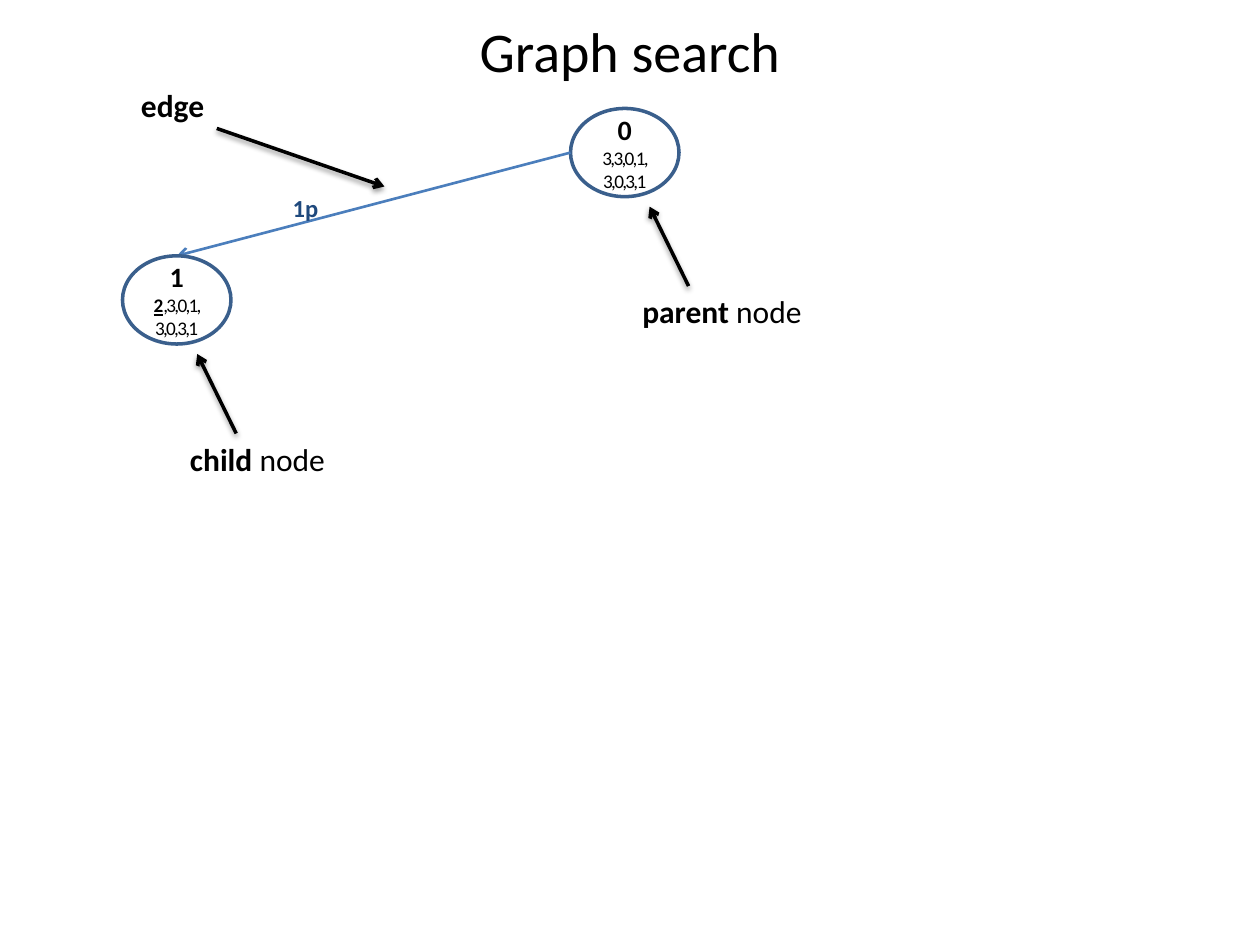
from lxml.etree import SubElement
from pptx import Presentation
from pptx.dml.color import RGBColor
from pptx.enum.shapes import MSO_CONNECTOR, MSO_SHAPE
from pptx.enum.text import MSO_ANCHOR, PP_ALIGN
from pptx.oxml.ns import qn
from pptx.util import Pt

BLACK = RGBColor(0x00, 0x00, 0x00)
WHITE = RGBColor(0xFF, 0xFF, 0xFF)
OUTLINE = RGBColor(0x3A, 0x5F, 0x8C)
EDGE = RGBColor(0x4B, 0x7E, 0xBC)
NAVY = RGBColor(0x1F, 0x49, 0x7D)

FONT = "Calibri"
NODE_WIDTH, NODE_HEIGHT = 62, 50.4
STATE = {"size": Pt(11), "bold": False}
CAPTION = {"size": Pt(18), "bold": True}


def add_span(para, text, spacing=None, **formats):
    """Append a run to the paragraph with the given font values."""
    span = para.add_run()
    span.text = text
    span.font.color.rgb = formats.pop("color", BLACK)
    for name, value in {"name": FONT, **formats}.items():
        setattr(span.font, name, value)
    if spacing is not None:
        span.font._element.set("spc", str(spacing))


def add_label(page, box, spans, align=PP_ALIGN.LEFT, anchor=MSO_ANCHOR.TOP):
    """Place a one-paragraph text box; spans are (text, formats) pairs."""
    frame = page.shapes.add_textbox(*map(Pt, box)).text_frame
    frame.word_wrap = True
    frame.vertical_anchor = anchor
    para = frame.paragraphs[0]
    para.alignment = align
    for text, formats in spans:
        add_span(para, text, **formats)


def add_arrow(page, start, end, color, width, shadow=False):
    """Draw an open-headed arrow from start to end."""
    arrow = page.shapes.add_connector(
        MSO_CONNECTOR.STRAIGHT, *map(Pt, (*start, *end)))
    arrow.line.color.rgb = color
    arrow.line.width = Pt(width)
    SubElement(arrow.line._get_or_add_ln(), qn("a:tailEnd"), type="arrow")
    effects = SubElement(arrow._element.spPr, qn("a:effectLst"))
    if shadow:
        outer = SubElement(effects, qn("a:outerShdw"), blurRad=str(Pt(3.1)),
                           dist=str(Pt(1.6)), dir="5400000", rotWithShape="0")
        tone = SubElement(outer, qn("a:srgbClr"), val=str(BLACK))
        SubElement(tone, qn("a:alpha"), val="38000")


def add_node(page, left, top, number, state):
    """Draw a search node: its number above its state spans."""
    node = page.shapes.add_shape(
        MSO_SHAPE.OVAL, *map(Pt, (left, top, NODE_WIDTH, NODE_HEIGHT)))
    node.shadow.inherit = False
    node.fill.solid()
    node.fill.fore_color.rgb = WHITE
    node.line.color.rgb = OUTLINE
    node.line.width = Pt(2)
    frame = node.text_frame
    frame.word_wrap = True
    frame.vertical_anchor = MSO_ANCHOR.MIDDLE
    heading, body = frame.paragraphs[0], frame.add_paragraph()
    heading.alignment = body.alignment = PP_ALIGN.CENTER
    add_span(heading, number, size=Pt(16), bold=True)
    for text, formats in state:
        add_span(body, text, spacing=-100, **{**STATE, **formats})


def add_node_caption(page, left, top, role):
    """Name a node's role, with an arrow up from the caption to the node."""
    add_label(page, (left, top, 230.4, 29),
              [(role + " ", CAPTION), ("node", {**CAPTION, "bold": False})])
    add_arrow(page, (left + 33.5, top), (left + 11.2, top - 45.4),
              BLACK, 2, shadow=True)


def add_edge_caption(page, left, top):
    """Name the edge, with an arrow down to it."""
    add_label(page, (left, top, 230.4, 29), [("edge", CAPTION)])
    add_arrow(page, (left + 50.4, top + 28), (left + 146.2, top + 61.2),
              BLACK, 2, shadow=True)


def add_graph(page, parent, child):
    """Draw the parent and child nodes, their edge and the captions."""
    add_node(page, *parent, "0", [("3,3,0,1, 3,0,3,1", {})])
    add_arrow(page, (parent[0], parent[1] + NODE_HEIGHT / 2),
              (child[0] + NODE_WIDTH / 2, child[1]), EDGE, 1.5)
    add_node(page, *child, "1", [("2", {"bold": True, "underline": True}),
                                 (",3,0,1, 3,0,3,1", {})])
    add_label(page, (child[0] + 87.7, child[1] - 39.6, 33.8, 24.5),
              [("1p", {"size": Pt(14), "bold": True, "color": NAVY})],
              PP_ALIGN.CENTER)
    add_node_caption(page, parent[0] + 34, parent[1] + 101.5, "parent")
    add_node_caption(page, child[0] + 31.5, child[1] + 101.5, "child")
    add_edge_caption(page, child[0] + 3.5, child[1] - 100.8)


deck = Presentation()
deck.slide_width, deck.slide_height = Pt(720), Pt(540)
page = deck.slides.add_slide(deck.slide_layouts[6])
add_label(page, (36, -16.5, 648, 90), [("Graph search", {"size": Pt(32)})],
          PP_ALIGN.CENTER, MSO_ANCHOR.MIDDLE)
add_graph(page, parent=(326, 62), child=(70, 146.2))
deck.save("out.pptx")
